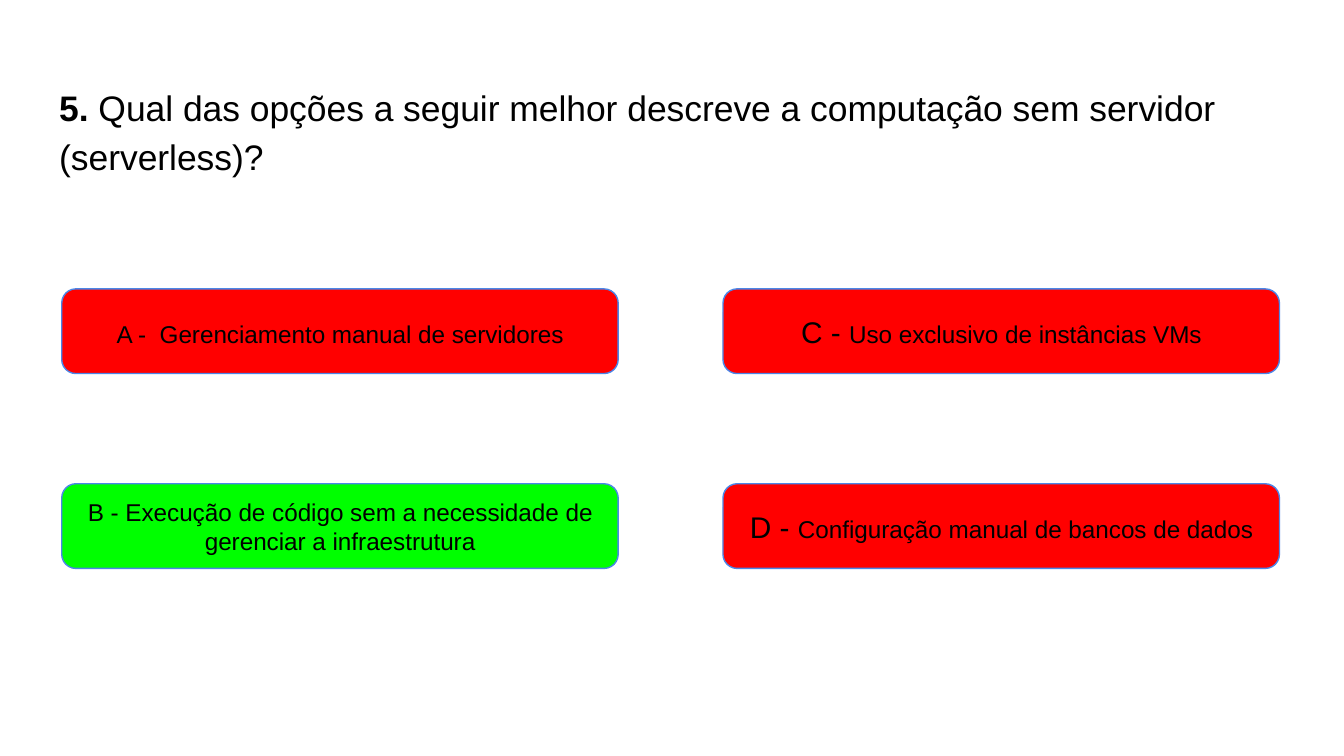
import dataclasses

import pptx
import pptx.dml.color
import pptx.enum.shapes
import pptx.enum.text
import pptx.util

Inches = pptx.util.Inches
Pt = pptx.util.Pt
RGB = pptx.dml.color.RGBColor.from_string


@dataclasses.dataclass(frozen=True)
class Theme:
    """Colours, font and type sizes of the quiz."""
    font: str = "Arial"
    ink: str = "000000"
    wrong: str = "FF0000"
    right: str = "00FF00"
    outline: str = "4A86E8"
    question_size: int = 19
    answer_size: int = 13
    letter_size: int = 16


@dataclasses.dataclass(frozen=True)
class Answer:
    """One option of the question."""
    letter: str
    wording: str
    correct: bool = False
    large_letter: bool = False
    line_spacing: float = 1.0


THEME = Theme()
ANSWERS = [
    Answer("A -  ", "Gerenciamento manual de servidores", line_spacing=1.15),
    Answer("B - ", "Execução de código sem a necessidade de gerenciar a infraestrutura",
           correct=True),
    Answer("C - ", "Uso exclusivo de instâncias VMs", large_letter=True),
    Answer("D - ", "Configuração manual de bancos de dados", large_letter=True),
]


def prepare_frame(frame, anchor):
    """Set wrapping, insets and anchor of a text frame."""
    frame.word_wrap = True
    frame.auto_size = pptx.enum.text.MSO_AUTO_SIZE.NONE
    frame.vertical_anchor = anchor
    frame.margin_left = frame.margin_right = Inches(0.1)
    frame.margin_top = frame.margin_bottom = Inches(0.1)


def write_run(paragraph, wording, size, bold=False):
    """Append a formatted run to a paragraph."""
    run = paragraph.add_run()
    run.text = wording
    run.font.name = THEME.font
    run.font.size = Pt(size)
    run.font.bold = bold
    run.font.color.rgb = RGB(THEME.ink)


def place_question(slide, left, top, width, height, number, wording):
    """Fill the title placeholder with the numbered question."""
    question = slide.shapes.title
    question.left, question.top = Inches(left), Inches(top)
    question.width, question.height = Inches(width), Inches(height)
    prepare_frame(question.text_frame, pptx.enum.text.MSO_ANCHOR.TOP)
    paragraph = question.text_frame.paragraphs[0]
    paragraph.alignment = pptx.enum.text.PP_ALIGN.LEFT
    paragraph.line_spacing = 1.15
    write_run(paragraph, number, THEME.question_size, bold=True)
    write_run(paragraph, " " + wording, THEME.question_size)


def place_answer(slide, left, top, width, height, answer):
    """Draw one answer button in the given box."""
    button = slide.shapes.add_shape(
        pptx.enum.shapes.MSO_SHAPE.ROUNDED_RECTANGLE,
        Inches(left), Inches(top), Inches(width), Inches(height))
    button.shadow.inherit = False
    button.fill.solid()
    button.fill.fore_color.rgb = RGB(THEME.right if answer.correct else THEME.wrong)
    button.line.color.rgb = RGB(THEME.outline)
    button.line.width = Pt(0.75)
    prepare_frame(button.text_frame, pptx.enum.text.MSO_ANCHOR.MIDDLE)
    paragraph = button.text_frame.paragraphs[0]
    paragraph.alignment = pptx.enum.text.PP_ALIGN.CENTER
    paragraph.line_spacing = answer.line_spacing
    if answer.large_letter:
        write_run(paragraph, answer.letter, THEME.letter_size)
        write_run(paragraph, answer.wording, THEME.answer_size)
    else:
        write_run(paragraph, answer.letter + answer.wording, THEME.answer_size)


def place_answers(slide, left, top, width, height, answers):
    """Lay the answers out column by column in a grid of two rows."""
    button_width, button_height, rows = 4.14, 0.63, 2
    column_step = width - button_width
    row_step = height - button_height
    for index, answer in enumerate(answers):
        column, row = divmod(index, rows)
        place_answer(slide, left + column * column_step, top + row * row_step,
                     button_width, button_height, answer)


def main():
    """Build and save the quiz slide."""
    deck = pptx.Presentation()
    deck.slide_width = Inches(10)
    deck.slide_height = deck.slide_width * 9 // 16
    slide = deck.slides.add_slide(deck.slide_layouts.get_by_name("Title Only"))
    place_question(slide, 0.34, 0.49, 9.32, 0.63, "5.",
                   "Qual das opções a seguir melhor descreve a computação "
                   "sem servidor (serverless)?")
    place_answers(slide, 0.46, 2.15, 9.06, 2.08, ANSWERS)
    deck.save("out.pptx")


if __name__ == "__main__":
    main()
